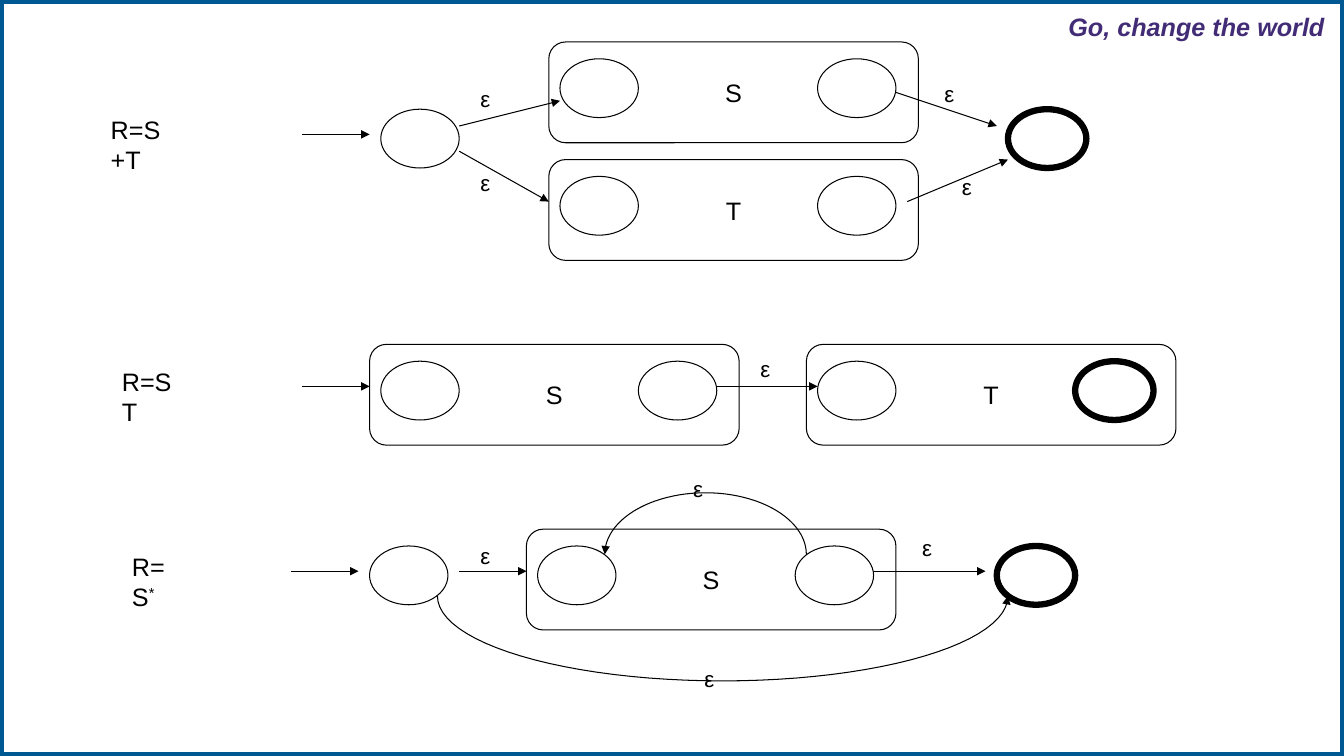
from math import cos, pi, sin

from lxml import etree
from pptx import Presentation
from pptx.dml.color import RGBColor
from pptx.enum.shapes import MSO_CONNECTOR, MSO_SHAPE
from pptx.enum.text import MSO_ANCHOR, PP_ALIGN
from pptx.oxml.ns import qn
from pptx.util import Pt

STRAIGHT = MSO_CONNECTOR.STRAIGHT
RECTANGLE, ROUNDED, OVAL = MSO_SHAPE.RECTANGLE, MSO_SHAPE.ROUNDED_RECTANGLE, MSO_SHAPE.OVAL
MIDDLE, CENTER = MSO_ANCHOR.MIDDLE, PP_ALIGN.CENTER
BLACK = RGBColor(0x00, 0x00, 0x00)
WHITE = RGBColor(0xFF, 0xFF, 0xFF)
BLUE = RGBColor(0x00, 0x58, 0x93)
PURPLE = RGBColor(0x42, 0x2C, 0x75)
THIN, THICK = 0.75, 4.5

deck = Presentation()
deck.slide_width, deck.slide_height = Pt(960), Pt(540)
page = deck.slides.add_slide(deck.slide_layouts[6])
shapes = page.shapes


def add_outline(kind, left, top, width, height, weight=THIN):
    shape = shapes.add_shape(kind, Pt(left), Pt(top), Pt(width), Pt(height))
    shape.shadow.inherit = False
    shape.fill.background()
    shape.line.color.rgb = BLACK
    shape.line.width = Pt(weight)
    return shape


def add_text(left, top, width, height, text, size):
    box = shapes.add_textbox(Pt(left), Pt(top), Pt(width), Pt(height))
    para = box.text_frame.paragraphs[0]
    para.text = text
    para.font.name = "Arial"
    para.font.size = Pt(size)
    para.font.color.rgb = BLACK
    return box


border = add_outline(RECTANGLE, 0, 0, 960, 540, 6)
border.fill.solid()
border.fill.fore_color.rgb = WHITE
border.line.color.rgb = BLUE

motto = add_text(763.2, 7.2, 196, 23, "Go, change the world", 18)
frame = motto.text_frame
frame.margin_left = frame.margin_right = frame.margin_bottom = 0
frame.margin_top = Pt(0.72)
motto_font = frame.paragraphs[0].font
motto_font.bold = motto_font.italic = True
motto_font.color.rgb = PURPLE

for left, top, width, rule, exponent in [
    (72, 78, 59.8, "R=S+T", ""),
    (80, 258, 50.4, "R=ST", ""),
    (87.2, 390, 47.5, "R=S", "*"),
]:
    box = add_text(left, top, width, 29, rule, 18)
    box.text_frame.word_wrap = True
    if exponent:
        span = box.text_frame.paragraphs[0].add_run()
        span.text = exponent
        span.font._element.set("baseline", "30000")

states = [(272, 78, THIN), (720, 78, THICK), (264, 390, THIN), (712, 390, THICK)]
for left, top, name, end_weight in [
    (392, 30, "S", THIN),
    (392, 114, "T", THIN),
    (264, 246, "S", THIN),
    (576, 246, "T", THICK),
    (376, 378, "S", THIN),
]:
    machine = add_outline(ROUNDED, left, top, 264, 72)
    machine.text_frame.vertical_anchor = MIDDLE
    para = machine.text_frame.paragraphs[0]
    para.text = name
    para.alignment = CENTER
    para.font.name = "Arial"
    para.font.size = Pt(18)
    para.font.color.rgb = BLACK
    states += [(left + 8, top + 12, THIN), (left + 192, top + 12, end_weight)]

for left, top, weight in states:
    add_outline(OVAL, left, top, 56, 42, weight)

arrows = []
for x1, y1, x2, y2 in [
    (216, 96, 264, 96),
    (328, 90, 400, 72),
    (328, 108, 392, 144),
    (640, 66, 712, 90),
    (648, 144, 720, 114),
    (216, 276, 264, 276),
    (512, 276, 584, 276),
    (208, 408, 256, 408),
    (328, 408, 376, 408),
    (624, 408, 704, 408),
]:
    arrow = shapes.add_connector(STRAIGHT, Pt(x1), Pt(y1), Pt(x2), Pt(y2))
    arrows.append(arrow)

STEPS = 48
for start, end, level, depth in [(576, 432, 396, -44), (312.5, 720, 425.8, 60.6)]:
    middle, radius = (start + end) / 2, (start - end) / 2
    points = [
        (Pt(middle + radius * cos(pi * step / STEPS)), Pt(level + depth * sin(pi * step / STEPS)))
        for step in range(STEPS + 1)
    ]
    builder = shapes.build_freeform(*points[0])
    builder.add_line_segments(points[1:], close=False)
    curve = builder.convert_to_shape()
    curve.fill.background()
    arrows.append(curve)

for arrow in arrows:
    arrow.line.color.rgb = BLACK
    arrow.line.width = Pt(THIN)
    properties = arrow._element.spPr
    etree.SubElement(properties.find(qn("a:ln")), qn("a:tailEnd"), type="triangle")
    etree.SubElement(properties, qn("a:effectLst"))

for left, top in [
    (336, 57.6), (336, 117.6), (667.5, 54), (680, 120), (536, 250),
    (336, 384), (496, 471.6), (488, 336), (651.6, 378),
]:
    add_text(left, top, 21.6, 26.6, "ε", 16)

deck.save("out.pptx")
